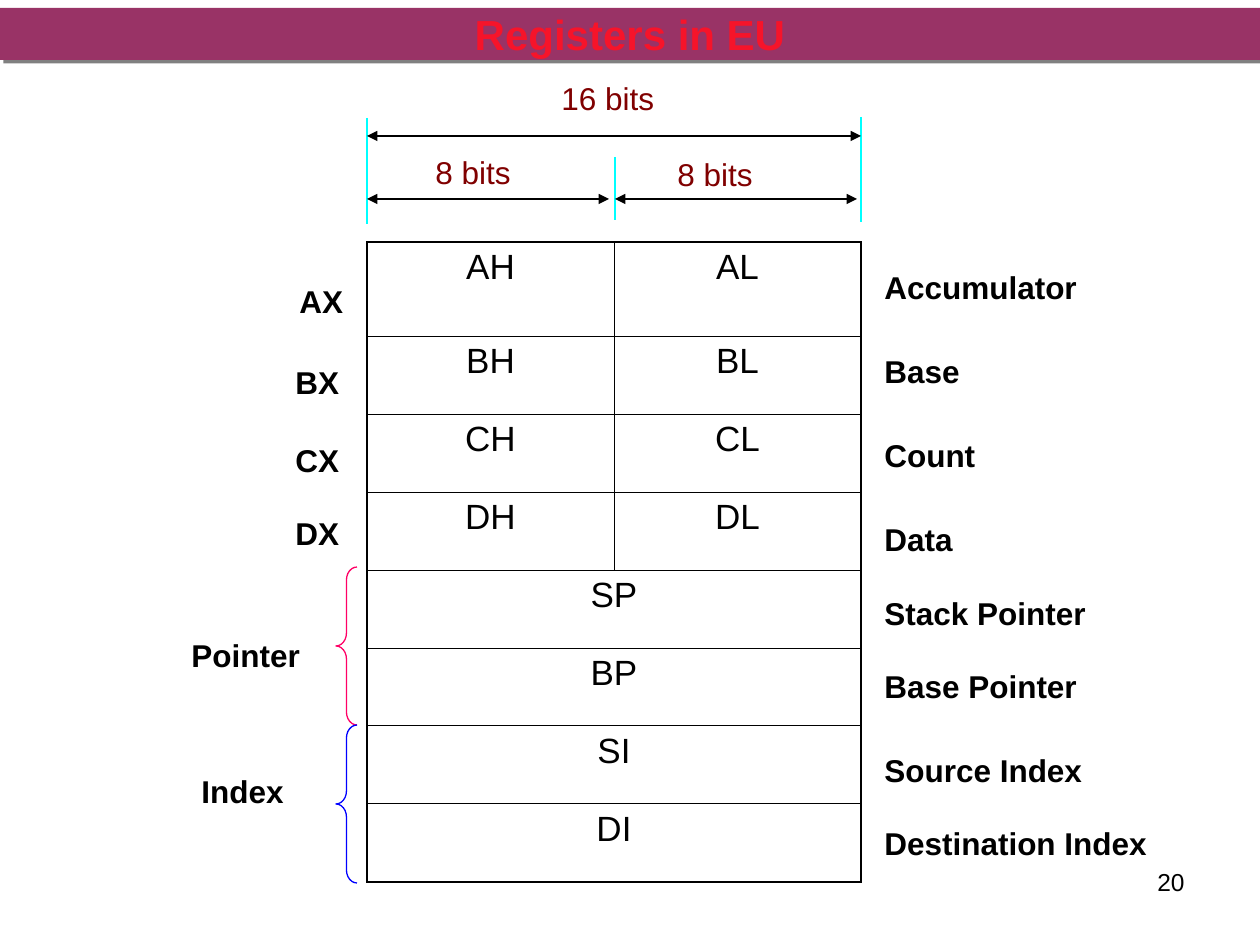
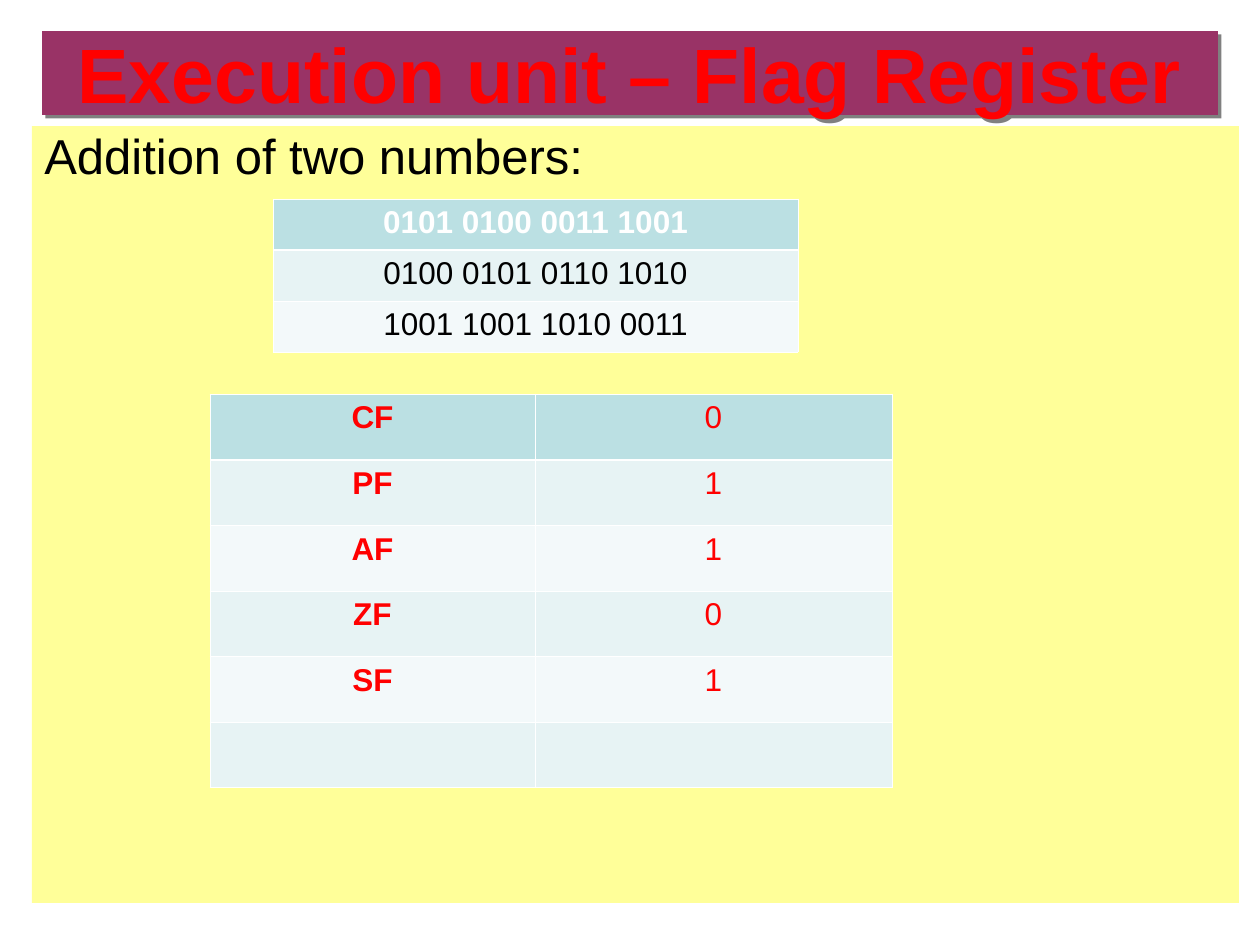
from lxml.etree import SubElement
from pptx import Presentation
from pptx.dml.color import RGBColor
from pptx.enum.shapes import MSO_CONNECTOR, MSO_SHAPE
from pptx.enum.text import MSO_ANCHOR, PP_ALIGN
from pptx.oxml.ns import qn
from pptx.util import Emu, Pt

PX = 914400 / 126
FONT = "Arial"
COLORS = {
    "band": "993366", "shadow": "808080", "panel": "FFFF99",
    "registers_title": "F6142A", "red": "FF0000", "maroon": "800000",
    "black": "000000", "white": "FFFFFF", "guide": "00FFFF",
    "pointer": "FF0066", "index": "0000FF",
    "header": "BBE0E3", "odd_row": "E7F3F4", "even_row": "F3F9FA",
}
THIN, OUTER, HEADER_RULE = 0.45, 1.08, 1.47
REGISTERS = [("AH", "AL"), ("BH", "BL"), ("CH", "CL"), ("DH", "DL"),
             ("SP",), ("BP",), ("SI",), ("DI",)]
REGISTER_NAMES = [("Accumulator", 0), ("Base", 84), ("Count", 168), ("Data", 252),
                  ("Stack Pointer", 326), ("Base Pointer", 399),
                  ("Source Index", 483), ("Destination Index", 556)]
SUM_ROWS = [("0101 0100 0011 1001",), ("0100 0101 0110 1010",),
            ("1001 1001 1010 0011",)]
FLAGS = [("CF", "0"), ("PF", "1"), ("AF", "1"), ("ZF", "0"), ("SF", "1"), ("", "")]


def px(*lengths):
    return [Emu(round(length * PX)) for length in lengths]


def rgb(name):
    return RGBColor.from_string(COLORS[name])


def write(frame, text, size, color="black", bold=False, align=PP_ALIGN.LEFT):
    frame.word_wrap = True
    paragraph = frame.paragraphs[0]
    paragraph.text = text
    paragraph.alignment = align
    font = paragraph.font
    font.name, font.size, font.bold = FONT, Pt(size), bold
    font.color.rgb = rgb(color)
    return paragraph


def add_label(slide, box, text, size=18, **style):
    write(slide.shapes.add_textbox(*px(*box)).text_frame, text, size, **style)


def add_panel(slide, box, fill):
    panel = slide.shapes.add_shape(MSO_SHAPE.RECTANGLE, *px(*box))
    panel.shadow.inherit = False
    panel.fill.solid()
    panel.fill.fore_color.rgb = rgb(fill)
    panel.line.fill.background()
    return panel


def add_title_band(slide, box, text, size, color):
    band = add_panel(slide, box, "band")
    effects = band._element.spPr.find(qn("a:effectLst"))
    shadow = SubElement(effects, qn("a:outerShdw"), dist=str(Pt(2.8)),
                        dir="2700000", algn="ctr", rotWithShape="0")
    SubElement(shadow, qn("a:srgbClr"), val=COLORS["shadow"])
    band.text_frame.vertical_anchor = MSO_ANCHOR.MIDDLE
    write(band.text_frame, text, size, color, True, PP_ALIGN.CENTER)


def add_rule(slide, start, end, color, arrows=False):
    rule = slide.shapes.add_connector(MSO_CONNECTOR.STRAIGHT, *px(*start, *end))
    rule.line.width = Pt(0.75)
    rule.line.color.rgb = rgb(color)
    if arrows:
        line = rule.line._get_or_add_ln()
        for tip in ("a:headEnd", "a:tailEnd"):
            SubElement(line, qn(tip), type="triangle")
    SubElement(rule._element.spPr, qn("a:effectLst"))


def set_borders(cell, color, left, right, top, bottom):
    properties = cell._tc.get_or_add_tcPr()
    for side, width in zip("LRTB", (left, right, top, bottom)):
        line = SubElement(properties, qn(f"a:ln{side}"), w=str(Pt(width)))
        fill = SubElement(line, qn("a:solidFill"))
        SubElement(fill, qn("a:srgbClr"), val=COLORS[color])


def add_grid(slide, left, top, column_widths, row_heights):
    """Add a table without style bands, sized from its columns and rows."""
    table = slide.shapes.add_table(
        len(row_heights), len(column_widths),
        *px(left, top, sum(column_widths), sum(row_heights))).table
    table.first_row = table.horz_banding = False
    for column, width in zip(table.columns, px(*column_widths)):
        column.width = width
    for row, height in zip(table.rows, px(*row_heights)):
        row.height = height
    return table


def add_register_table(slide, left, top):
    table = add_grid(slide, left, top, [247, 247], [94] + [78] * 7)
    last = len(REGISTERS) - 1
    for r, names in enumerate(REGISTERS):
        whole = len(names) == 1
        if whole:
            table.cell(r, 0).merge(table.cell(r, 1))
        for c in range(2):
            cell = table.cell(r, c)
            set_borders(cell, "black",
                        OUTER if c == 0 else THIN,
                        OUTER if c == 1 or whole else THIN,
                        OUTER if r == 0 else THIN,
                        OUTER if r == last else THIN)
            cell.fill.background()
            if c < len(names):
                write(cell.text_frame, names[c], 20, align=PP_ALIGN.CENTER)


def add_bit_scale(slide, left, top):
    """Dimension lines for the whole word and its two bytes."""
    for x, start, end in ((248, 64, 127), (0, 25, 131), (494, 24, 129)):
        add_rule(slide, (left + x, top + start), (left + x, top + end), "guide")
    for start, end, y in ((0, 494, 43), (0, 242, 106), (248, 490, 106)):
        add_rule(slide, (left + start, top + y), (left + end, top + y), "black", True)
    for text, x, y in (("16 bits", 182, -20), ("8 bits", 56, 54), ("8 bits", 298, 56)):
        add_label(slide, (left + x, top + y, 175, 50), text, color="maroon")


def add_register_groups(slide, left, top):
    """Short names and braces on the left of the register table."""
    for text, x, y, width in (("AX", 108, 0, 84), ("BX", 104, 81, 84),
                              ("CX", 104, 159, 84), ("DX", 104, 232, 84),
                              ("Pointer", 0, 354, 147), ("Index", 10, 490, 147)):
        add_label(slide, (left + x, top + y, width, 50), text, bold=True)
    height = 158
    for i, color in enumerate(("pointer", "index")):
        brace = slide.shapes.add_shape(
            MSO_SHAPE.LEFT_BRACE, *px(left + 157, top + 291 + i * height, 21, height))
        brace.adjustments[0] = 0.62
        brace.shadow.inherit = False
        brace.fill.background()
        brace.line.color.rgb = rgb(color)
        brace.line.width = Pt(0.75)


def add_register_names(slide, left, top):
    for name, y in REGISTER_NAMES:
        add_label(slide, (left, top + y, 336, 50), name, bold=True)


def add_banded_table(slide, left, top, column_widths, height, rows, style_for):
    """Banded table; style_for(row, column) gives a cell's colour and weight."""
    table = add_grid(slide, left, top, column_widths, [height / len(rows)] * len(rows))
    for r, values in enumerate(rows):
        band = "header" if r == 0 else "odd_row" if r % 2 else "even_row"
        for c, value in enumerate(values):
            cell = table.cell(r, c)
            set_borders(cell, "white", THIN, THIN,
                        HEADER_RULE if r == 1 else THIN,
                        HEADER_RULE if r == 0 else THIN)
            cell.fill.solid()
            cell.fill.fore_color.rgb = rgb(band)
            if value:
                color, bold = style_for(r, c)
                write(cell.text_frame, value, 18, color, bold, PP_ALIGN.CENTER)


def build_registers_slide(slide):
    add_label(slide, (903, 861, 294, 66), "20", 14, align=PP_ALIGN.RIGHT)
    add_register_table(slide, 367, 242)
    add_register_groups(slide, 179, 276)
    add_bit_scale(slide, 367, 93)
    add_register_names(slide, 872, 262)
    add_title_band(slide, (0, 8, 1260, 52), "Registers in EU", 24, "registers_title")


def build_flags_slide(slide):
    add_title_band(slide, (42, 31, 1176, 84), "Execution unit – Flag Register", 44, "red")
    panel = add_panel(slide, (32, 126, 1207, 777), "panel")
    panel.text_frame.vertical_anchor = MSO_ANCHOR.TOP
    write(panel.text_frame, "Addition of two numbers:", 28).line_spacing = 0.9
    add_banded_table(slide, 273, 199, [525], 153, SUM_ROWS,
                     lambda r, c: ("white", True) if r == 0 else ("black", False))
    add_banded_table(slide, 210, 394, [325, 357], 394, FLAGS,
                     lambda r, c: ("red", c == 0))


def main():
    deck = Presentation()
    deck.slide_width, deck.slide_height = px(1260, 945)
    blank = deck.slide_layouts[6]
    for build in (build_registers_slide, build_flags_slide):
        build(deck.slides.add_slide(blank))
    deck.save("out.pptx")


if __name__ == "__main__":
    main()
